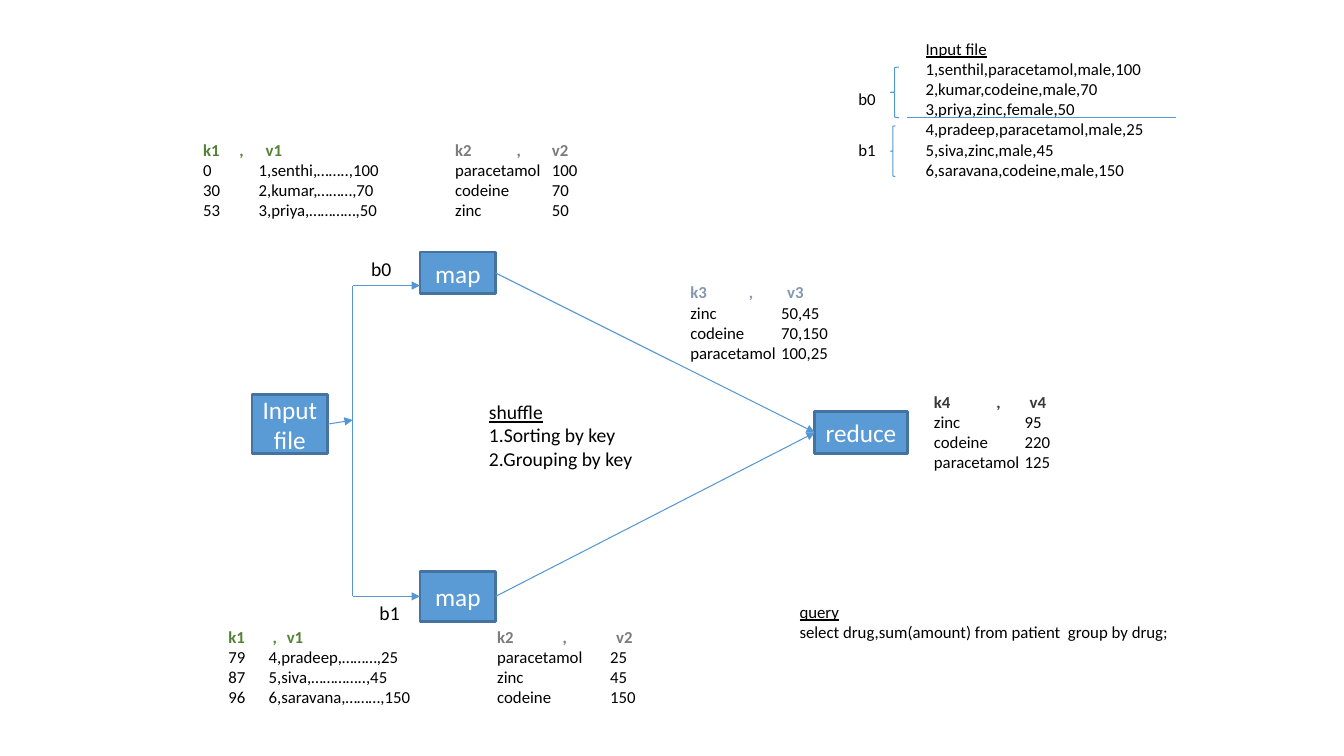
import pptx
import pptx.dml.color
import pptx.enum.shapes
import pptx.enum.text
import pptx.oxml
import pptx.oxml.ns
import pptx.util

RGB = pptx.dml.color.RGBColor
Pt = pptx.util.Pt
Inches = pptx.util.Inches
Shape = pptx.enum.shapes.MSO_SHAPE
Align = pptx.enum.text.PP_ALIGN
Anchor = pptx.enum.text.MSO_ANCHOR

BLUE = RGB(0x5B, 0x9B, 0xD5)
BORDER = RGB(0x43, 0x73, 0x9E)
LINK = RGB(0x55, 0x97, 0xD3)
WHITE = RGB(0xFF, 0xFF, 0xFF)
BLACK = RGB(0, 0, 0)
GREEN = RGB(0x54, 0x82, 0x35)
GRAY = RGB(0x7C, 0x7C, 0x7C)
SLATE = RGB(0x84, 0x97, 0xB0)
DARK = RGB(0x3B, 0x38, 0x38)

COLS, ROWS = 160, 90
RIGHT_SITE, LEFT_SITE = 3, 1


def add_xml(parent, tag, **attrs):
    """Append a drawing element with the given attributes."""
    child = pptx.oxml.parse_xml(f"<a:{tag} {pptx.oxml.ns.nsdecls('a')}/>")
    for name, value in attrs.items():
        child.set(name, str(value))
    parent.append(child)
    return child


class Diagram:
    """Draws styled elements on one slide, placed by grid columns and rows."""

    font = "Calibri"
    thin = Pt(0.75)

    def __init__(self, prs):
        """Add a slide and keep only its body placeholder."""
        self.s = prs.slides.add_slide(prs.slide_layouts[1])
        self.cell_w = prs.slide_width / COLS
        self.cell_h = prs.slide_height / ROWS
        title = self.s.shapes.title.element
        title.getparent().remove(title)

    def point(self, col, row):
        """Turn a grid position into slide lengths."""
        return round(col * self.cell_w), round(row * self.cell_h)

    def area(self, col, row, cols, rows):
        """Turn a grid area into left, top, width and height."""
        return *self.point(col, row), *self.point(cols, rows)

    def paragraph(self, tf, text, size, color=BLACK, align=Align.LEFT,
                  bold=False, underline=False, tabs=()):
        """Write one paragraph, using the empty first one if free."""
        p = tf.paragraphs[0]
        if p.runs:
            p = tf.add_paragraph()
        p.alignment = align
        p.space_before = Pt(0)
        if tabs:
            stops = add_xml(p._p.get_or_add_pPr(), "tabLst")
            for stop in tabs:
                add_xml(stops, "tab", pos=Inches(stop), algn="l")
        r = p.add_run()
        r.text = text
        r.font.name = self.font
        r.font.size = Pt(size)
        r.font.color.rgb = color
        r.font.bold = bold
        r.font.underline = underline

    def textbox(self, area, wrap=True):
        """Add an empty text box and return its text frame."""
        tf = self.s.shapes.add_textbox(*self.area(*area)).text_frame
        tf.word_wrap = wrap
        return tf

    def label(self, col, row, text, size):
        """Add a short block name."""
        tf = self.textbox((col, row, 5, 4), wrap=False)
        self.paragraph(tf, text, size)

    def headed(self, tf, heading, lines, size=12):
        """Write an underlined heading with lines below it."""
        self.paragraph(tf, heading, size, underline=True)
        for line in lines:
            self.paragraph(tf, line, size)

    def body(self, area, heading, lines, size):
        """Fill the body placeholder with a headed, unbulleted list."""
        sp = self.s.placeholders[1]
        sp.left, sp.top, sp.width, sp.height = self.area(*area)
        tf = sp.text_frame
        tf.auto_size = pptx.enum.text.MSO_AUTO_SIZE.NONE
        tf.vertical_anchor = Anchor.TOP
        self.headed(tf, heading, lines, size)
        for p in tf.paragraphs:
            pPr = p._p.get_or_add_pPr()
            pPr.set("marL", "0")
            pPr.set("indent", "0")
            add_xml(pPr, "buNone")

    def pairs(self, area, step, color, heading_tabs, value_tab, rows):
        """List key and value pairs under a coloured heading."""
        tf = self.textbox(area)
        self.paragraph(tf, f"k{step}\t,\tv{step}", 12, color, bold=True,
                       tabs=heading_tabs)
        for key, value in rows:
            self.paragraph(tf, f"{key}\t{value}", 12, tabs=(value_tab,))

    def box(self, area, *lines):
        """Add a blue process box with centred text."""
        sp = self.s.shapes.add_shape(Shape.RECTANGLE, *self.area(*area))
        sp.shadow.inherit = False
        sp.fill.solid()
        sp.fill.fore_color.rgb = BLUE
        sp.line.color.rgb = BORDER
        sp.line.width = Pt(2)
        tf = sp.text_frame
        tf.word_wrap = True
        tf.vertical_anchor = Anchor.MIDDLE
        for line in lines:
            self.paragraph(tf, line, 18, WHITE, Align.CENTER)
        return sp

    def brace(self, area):
        """Add a left brace around the lines of one block."""
        sp = self.s.shapes.add_shape(Shape.LEFT_BRACE, *self.area(*area))
        sp.shadow.inherit = False
        sp.fill.background()
        sp.line.color.rgb = LINK
        sp.line.width = self.thin

    def line(self, start, end, arrow=True, source=None, target=None):
        """Join two points, gluing the ends to boxes where given."""
        cx = self.s.shapes.add_connector(
            pptx.enum.shapes.MSO_CONNECTOR.STRAIGHT,
            *self.point(*start), *self.point(*end))
        if source is not None:
            cx.begin_connect(source, RIGHT_SITE)
        if target is not None:
            cx.end_connect(target, LEFT_SITE)
        cx.line.color.rgb = LINK
        cx.line.width = self.thin
        if arrow:
            add_xml(cx.line._get_or_add_ln(), "tailEnd", type="triangle")
        add_xml(cx._element.spPr, "effectLst")


prs = pptx.Presentation()
prs.slide_width, prs.slide_height = Inches(13.33), Inches(7.5)
d = Diagram(prs)

# Process flow
input_box = d.box((30, 47, 9, 7), "Input ", "file")
map_b0 = d.box((50, 30, 9, 5), "map")
map_b1 = d.box((50, 68, 9, 6), "map")
reduce_box = d.box((97, 49, 11, 5), "reduce")
d.line((39, 50.5), (42, 50), source=input_box)
d.line((42, 34), (42, 71), arrow=False)
d.line((42, 34), (50, 34))
d.line((42, 71), (50, 71), target=map_b1)
for map_box, row in ((map_b0, 32.5), (map_b1, 71)):
    d.line((59, row), (97, 51.5), source=map_box, target=reduce_box)
d.label(43, 30, "b0", 14)
d.label(44, 71, "b1", 14)
d.body((57, 47, 21, 9.6), "shuffle",
       ("1.Sorting by key", "2.Grouping by key"), 14)

# Key and value pairs at each step
d.pairs((23, 16, 43, 10.8), 1, GREEN, (0.36, 0.62), 0.55,
        (("0", "1,senthi,……..,100"), ("30", "2,kumar,………,70"),
         ("53", "3,priya,…………,50")))
d.pairs((53, 16, 34, 10.8), 2, GRAY, (0.61, 0.96), 0.96,
        (("paracetamol", "100"), ("codeine", "70"), ("zinc", "50")))
d.pairs((26, 74, 26, 10.8), 1, GREEN, (0.44, 0.58), 0.4,
        (("79", "4,pradeep,………,25"), ("87", "5,siva,…………..,45"),
         ("96", "6,saravana,………,150")))
d.pairs((58, 74, 23, 10.8), 2, GRAY, (0.65, 1.18), 1.12,
        (("paracetamol", "25"), ("zinc", "45"), ("codeine", "150")))
d.pairs((81, 33, 23, 10.8), 3, SLATE, (0.58, 0.96), 0.9,
        (("zinc", "50,45"), ("codeine", "70,150"),
         ("paracetamol", "100,25")))
d.pairs((110, 46, 23, 10.8), 4, DARK, (0.62, 0.95), 0.9,
        (("zinc", "95"), ("codeine", "220"), ("paracetamol", "125")))

# Input records split into blocks, and the query
d.headed(d.textbox((109, 4, 44, 18)), "Input file", (
    "1,senthil,paracetamol,male,100", "2,kumar,codeine,male,70",
    "3,priya,zinc,female,50", "4,pradeep,paracetamol,male,25",
    "5,siva,zinc,male,45", "6,saravana,codeine,male,150"))
d.line((108, 14), (140, 14), arrow=False)
d.brace((106, 8, 1, 6))
d.brace((106, 15, 0.6, 6))
d.label(101, 10, "b0", 12)
d.label(101, 16, "b1", 12)
d.headed(d.textbox((94, 71, 63, 6)), "query",
         ("select drug,sum(amount) from patient  group by drug;",))

prs.save("out.pptx")
